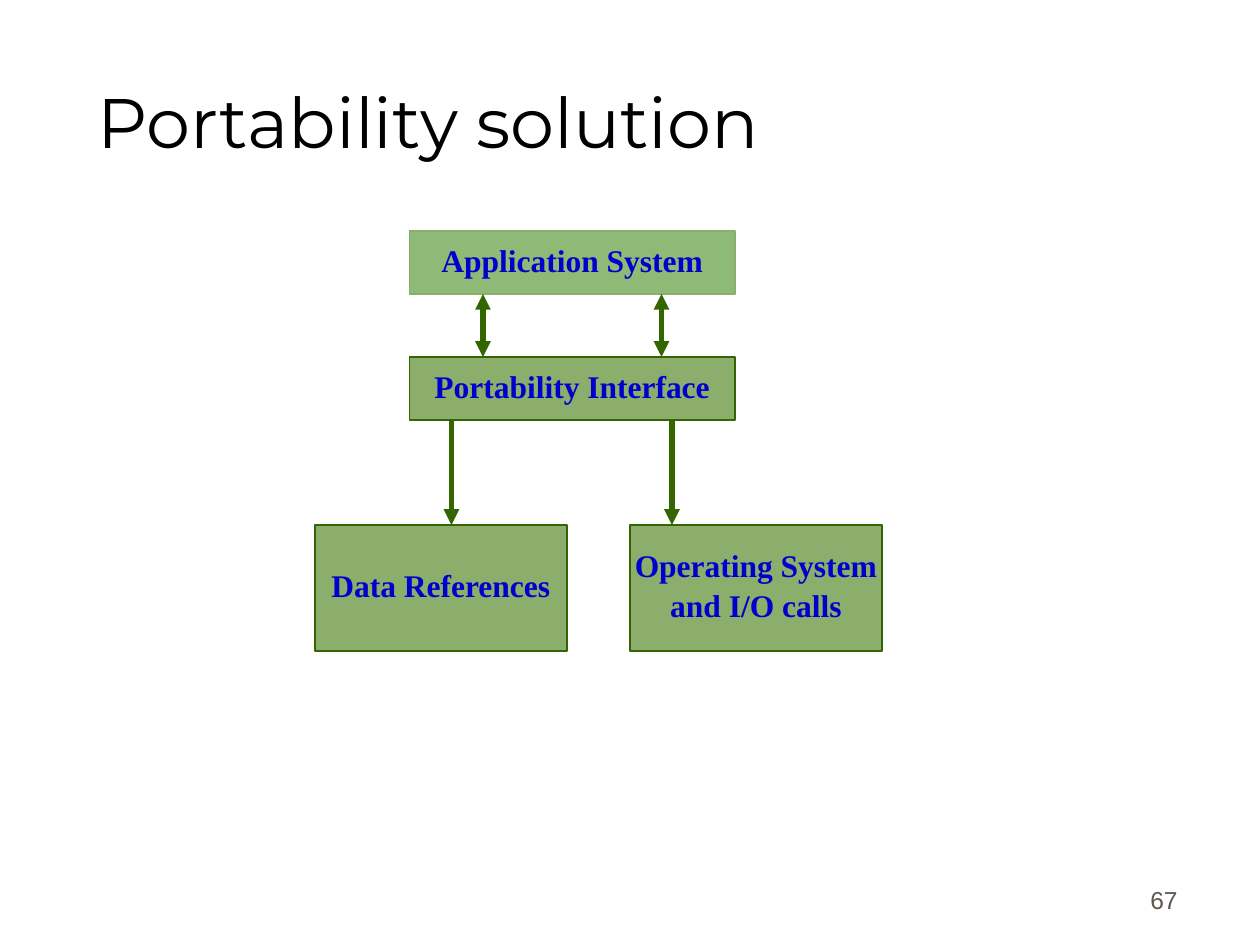
from dataclasses import dataclass

from lxml import etree
from pptx import Presentation
from pptx.dml.color import RGBColor
from pptx.enum.shapes import MSO_CONNECTOR, MSO_SHAPE
from pptx.enum.text import MSO_ANCHOR, PP_ALIGN
from pptx.oxml.ns import qn
from pptx.slide import Slide
from pptx.text.text import TextFrame
from pptx.util import Pt

ROUNDED = MSO_SHAPE.ROUNDED_RECTANGLE
STRAIGHT = MSO_CONNECTOR.STRAIGHT
MIDDLE, BOTTOM = MSO_ANCHOR.MIDDLE, MSO_ANCHOR.BOTTOM
LEFT, CENTER, RIGHT = PP_ALIGN.LEFT, PP_ALIGN.CENTER, PP_ALIGN.RIGHT

BLACK = RGBColor(0x00, 0x00, 0x00)
BLUE = RGBColor(0x00, 0x00, 0xCC)
GRAY = RGBColor(0x5E, 0x57, 0x4E)
DARK_GREEN = RGBColor(0x33, 0x66, 0x00)
SAGE = RGBColor(0x8B, 0xAE, 0x6C)
LIGHT_GREEN = RGBColor(0x8D, 0xBA, 0x76)


@dataclass(frozen=True)
class TextStyle:
    font: str
    size: float
    color: RGBColor
    align: PP_ALIGN
    anchor: MSO_ANCHOR
    side_inset: float
    bold: bool = False
    line_spacing: float = 1.0
    paragraph_gap: float = 0


@dataclass(frozen=True)
class Layer:
    lines: tuple[str, ...]
    left: float
    top: float
    width: float
    height: float
    fill: RGBColor = SAGE
    outline: RGBColor = DARK_GREEN


@dataclass(frozen=True)
class Flow:
    x: float
    source: Layer
    target: Layer
    two_way: bool = False


TITLE_STYLE = TextStyle("Montserrat", 40, BLACK, LEFT, MIDDLE, 1.5)
NUMBER_STYLE = TextStyle("Arial", 14, GRAY, RIGHT, BOTTOM, 7.2)
LAYER_STYLE = TextStyle("Times New Roman", 18, BLUE, CENTER, MIDDLE, 1.5, True, 0.85, 4.1)

APPLICATION = Layer(("Application System",), 234, 132, 186, 36, LIGHT_GREEN, SAGE)
INTERFACE = Layer(("Portability Interface",), 234, 204, 186, 36)
DATA = Layer(("Data References",), 180, 300, 144, 72)
SYSTEM = Layer(("Operating System", "and I/O calls"), 360, 300, 144, 72)
LAYERS = (APPLICATION, INTERFACE, DATA, SYSTEM)
FLOWS = (
    Flow(276, APPLICATION, INTERFACE, two_way=True),
    Flow(378, APPLICATION, INTERFACE, two_way=True),
    Flow(258, INTERFACE, DATA),
    Flow(384, INTERFACE, SYSTEM),
)


def write_text(frame: TextFrame, lines: tuple[str, ...], style: TextStyle) -> None:
    """Fill a text frame with one paragraph per line."""
    frame.word_wrap = True
    frame.vertical_anchor = style.anchor
    frame.margin_left = frame.margin_right = Pt(style.side_inset)
    frame.margin_top = frame.margin_bottom = Pt(3.6)
    for index, line in enumerate(lines):
        paragraph = frame.add_paragraph() if index else frame.paragraphs[0]
        paragraph.alignment = style.align
        paragraph.line_spacing = style.line_spacing
        paragraph.space_before = Pt(style.paragraph_gap if index else 0)
        run = paragraph.add_run()
        run.text = line
        run.font.name = style.font
        run.font.size = Pt(style.size)
        run.font.bold = style.bold
        run.font.color.rgb = style.color


def add_label(slide: Slide, text: str, left: float, top: float, width: float,
              height: float, style: TextStyle) -> None:
    """Place a free-standing line of text."""
    label = slide.shapes.add_textbox(Pt(left), Pt(top), Pt(width), Pt(height))
    write_text(label.text_frame, (text,), style)


def add_layer(slide: Slide, layer: Layer) -> None:
    """Draw one box of the architecture."""
    box = slide.shapes.add_shape(
        ROUNDED, Pt(layer.left), Pt(layer.top), Pt(layer.width), Pt(layer.height))
    box.adjustments[0] = 0
    box.shadow.inherit = False
    box.fill.solid()
    box.fill.fore_color.rgb = layer.fill
    box.line.color.rgb = layer.outline
    box.line.width = Pt(1)
    write_text(box.text_frame, layer.lines, LAYER_STYLE)


def add_flow(slide: Slide, flow: Flow) -> None:
    """Draw a vertical arrow from the bottom of one layer to the top of another."""
    start = flow.source.top + flow.source.height
    arrow = slide.shapes.add_connector(
        STRAIGHT, Pt(flow.x), Pt(start), Pt(flow.x), Pt(flow.target.top))
    arrow.line.color.rgb = DARK_GREEN
    arrow.line.width = Pt(3)
    outline = arrow.line._get_or_add_ln()
    for end in ("a:headEnd", "a:tailEnd") if flow.two_way else ("a:tailEnd",):
        etree.SubElement(outline, qn(end), type="triangle", w="med", len="med")
    etree.SubElement(arrow._element.spPr, qn("a:effectLst"))


def main() -> None:
    """Build the portability slide."""
    deck = Presentation()
    deck.slide_width, deck.slide_height = Pt(720), Pt(540)
    slide = deck.slides.add_slide(deck.slide_layouts[6])
    add_label(slide, "Portability solution", 54, 24, 612, 90, TITLE_STYLE)
    for layer in LAYERS:
        add_layer(slide, layer)
    for flow in FLOWS:
        add_flow(slide, flow)
    add_label(slide, "67", 530, 490, 150, 36, NUMBER_STYLE)
    deck.save("out.pptx")


if __name__ == "__main__":
    main()
